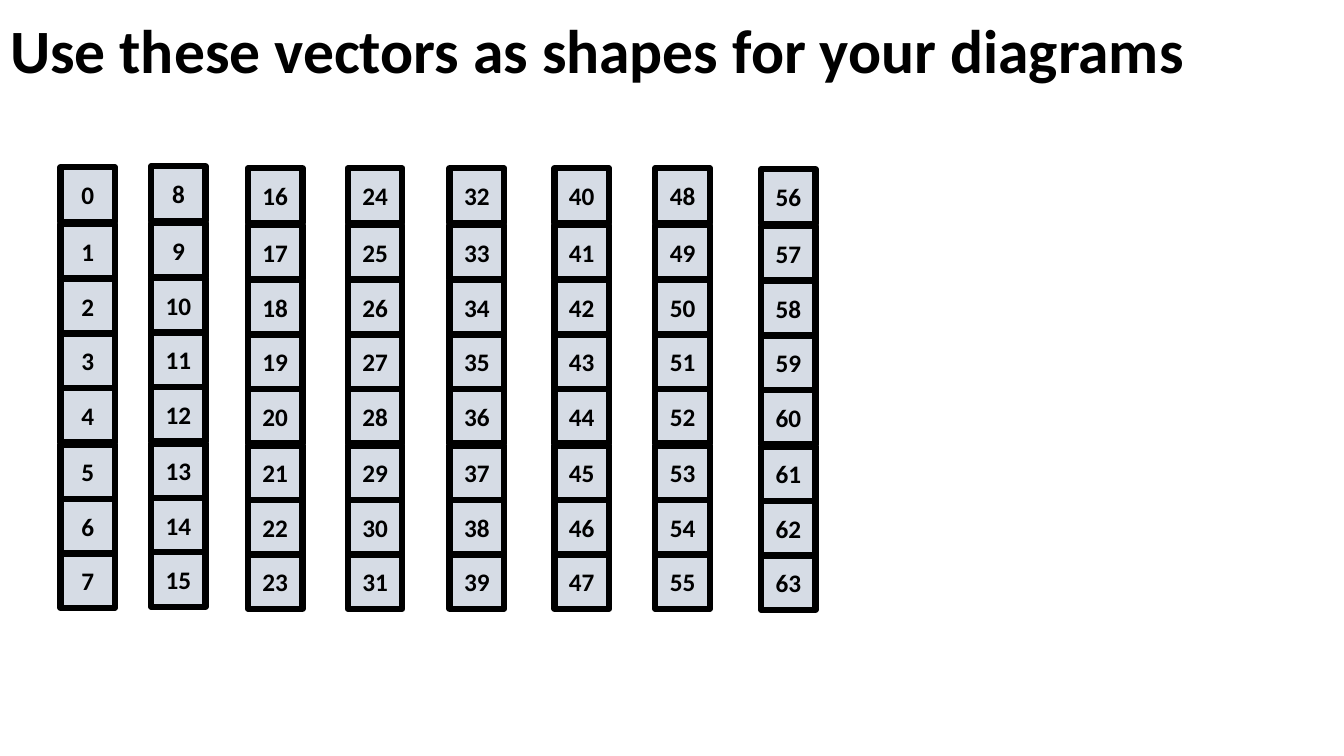
from dataclasses import dataclass

from pptx import Presentation
from pptx.dml.color import RGBColor
from pptx.enum.shapes import MSO_SHAPE
from pptx.enum.text import MSO_ANCHOR, MSO_AUTO_SIZE, PP_ALIGN
from pptx.util import Emu, Pt

TITLE = "Use these vectors as shapes for your diagrams"
# Left and top of each column of numbered cells, in px
COLUMNS = [(60, 166), (150, 165), (246, 167), (345, 167),
           (446, 167), (550, 167), (650, 167), (755, 168)]
ROW_OFFSETS = [0, 56, 111, 165, 219, 275, 329, 383]
CELL_SIZE = 54
SLIDE_SIZE = (1333, 750)
TITLE_HEIGHT = 107
EMU_PER_PX = 9144  # 100 px to the inch


@dataclass(frozen=True)
class Theme:
    font: str = "Calibri"
    ink: RGBColor = RGBColor(0x00, 0x00, 0x00)
    cell_fill: RGBColor = RGBColor(0xD6, 0xDC, 0xE5)
    title_size: Pt = Pt(44)
    cell_size: Pt = Pt(18)
    border: Pt = Pt(4.5)


THEME = Theme()


def px(length):
    return Emu(length * EMU_PER_PX)


def set_text(shape, text, size, alignment):
    frame = shape.text_frame
    frame.text = text
    frame.word_wrap = True
    frame.auto_size = MSO_AUTO_SIZE.NONE
    frame.vertical_anchor = MSO_ANCHOR.MIDDLE
    paragraph = frame.paragraphs[0]
    paragraph.alignment = alignment
    font = paragraph.runs[0].font
    font.name = THEME.font
    font.size = size
    font.bold = True
    font.color.rgb = THEME.ink


def add_title(slide):
    title = slide.shapes.title
    title.left, title.top = px(0), px(0)
    title.width, title.height = px(SLIDE_SIZE[0]), px(TITLE_HEIGHT)
    set_text(title, TITLE, THEME.title_size, PP_ALIGN.LEFT)
    title.text_frame.paragraphs[0].line_spacing = 0.9


def add_cell(slide, number, left, top):
    cell = slide.shapes.add_shape(
        MSO_SHAPE.RECTANGLE, px(left), px(top), px(CELL_SIZE), px(CELL_SIZE))
    cell.shadow.inherit = False
    cell.fill.solid()
    cell.fill.fore_color.rgb = THEME.cell_fill
    cell.line.color.rgb = THEME.ink
    cell.line.width = THEME.border
    set_text(cell, str(number), THEME.cell_size, PP_ALIGN.CENTER)


def main():
    presentation = Presentation()
    presentation.slide_width, presentation.slide_height = map(px, SLIDE_SIZE)
    slide = presentation.slides.add_slide(presentation.slide_layouts[5])
    add_title(slide)
    for column, (left, top) in enumerate(COLUMNS):
        for row, offset in enumerate(ROW_OFFSETS):
            number = column * len(ROW_OFFSETS) + row
            add_cell(slide, number, left, top + offset)
    presentation.save("out.pptx")


if __name__ == "__main__":
    main()
